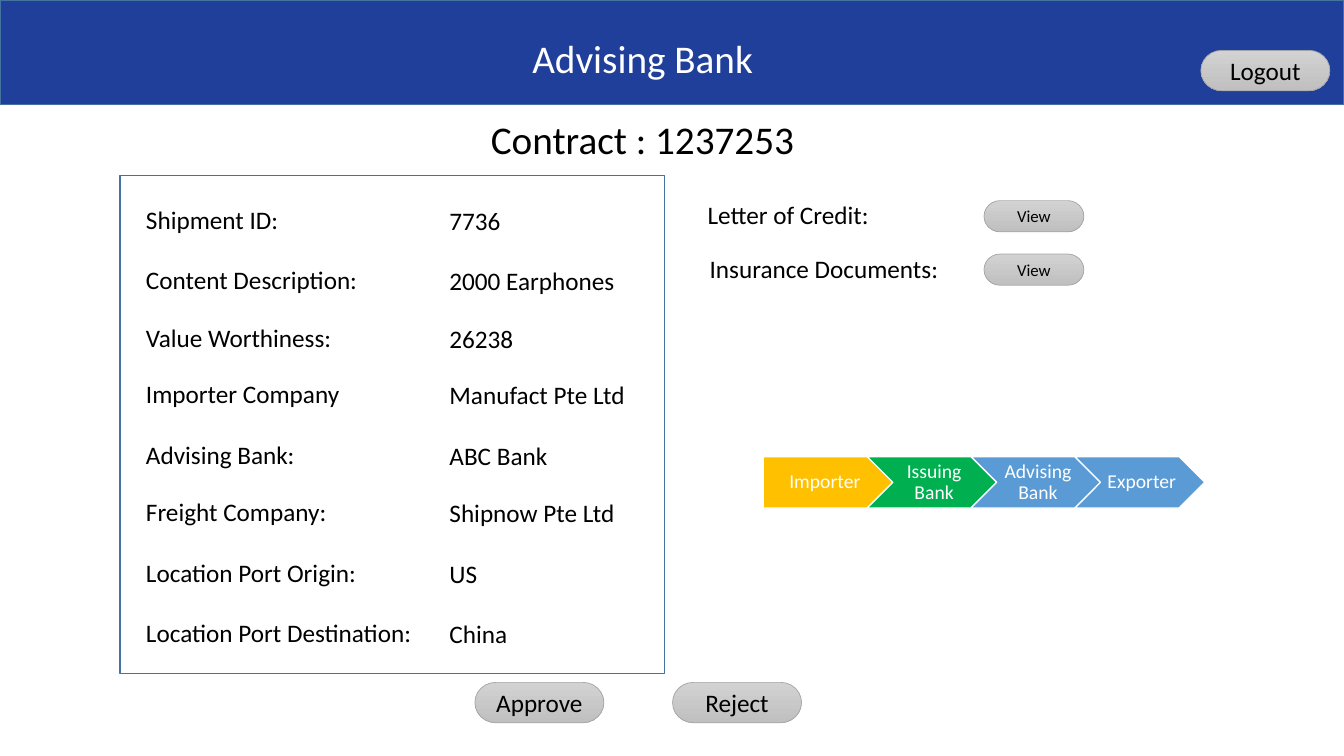
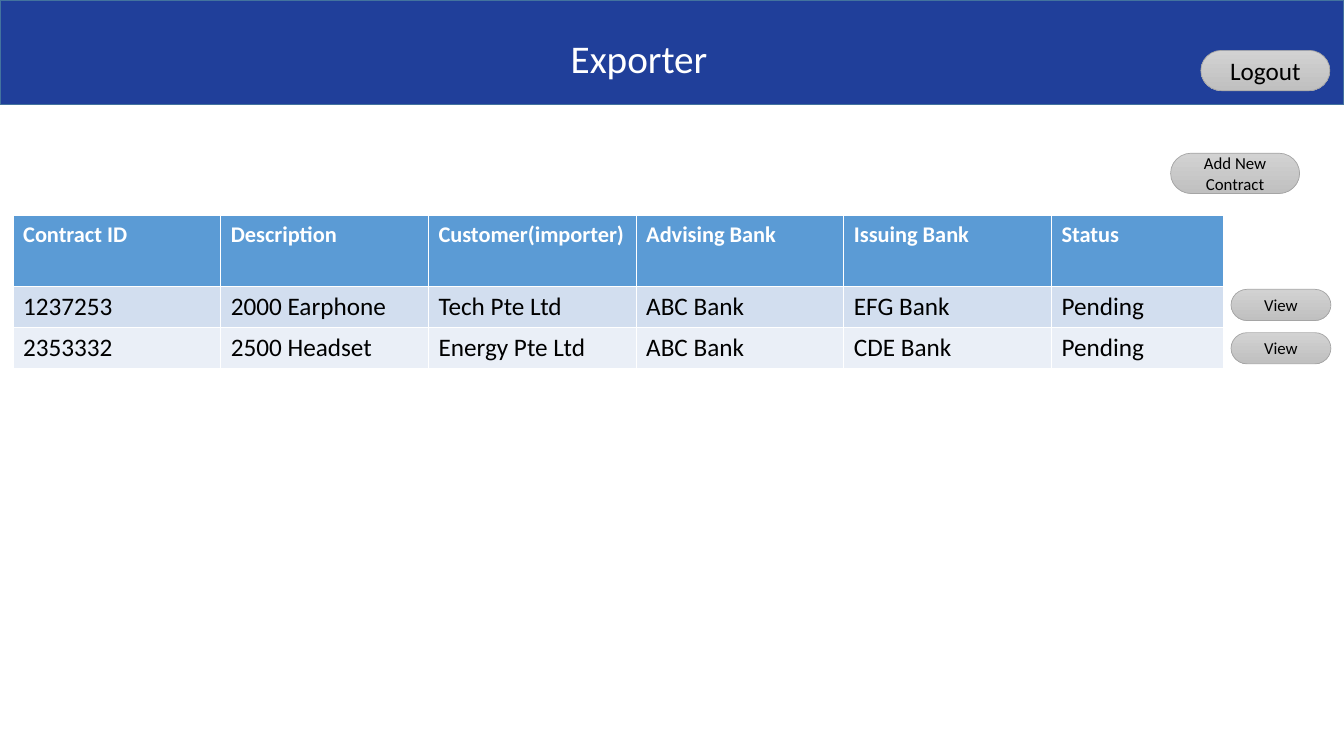
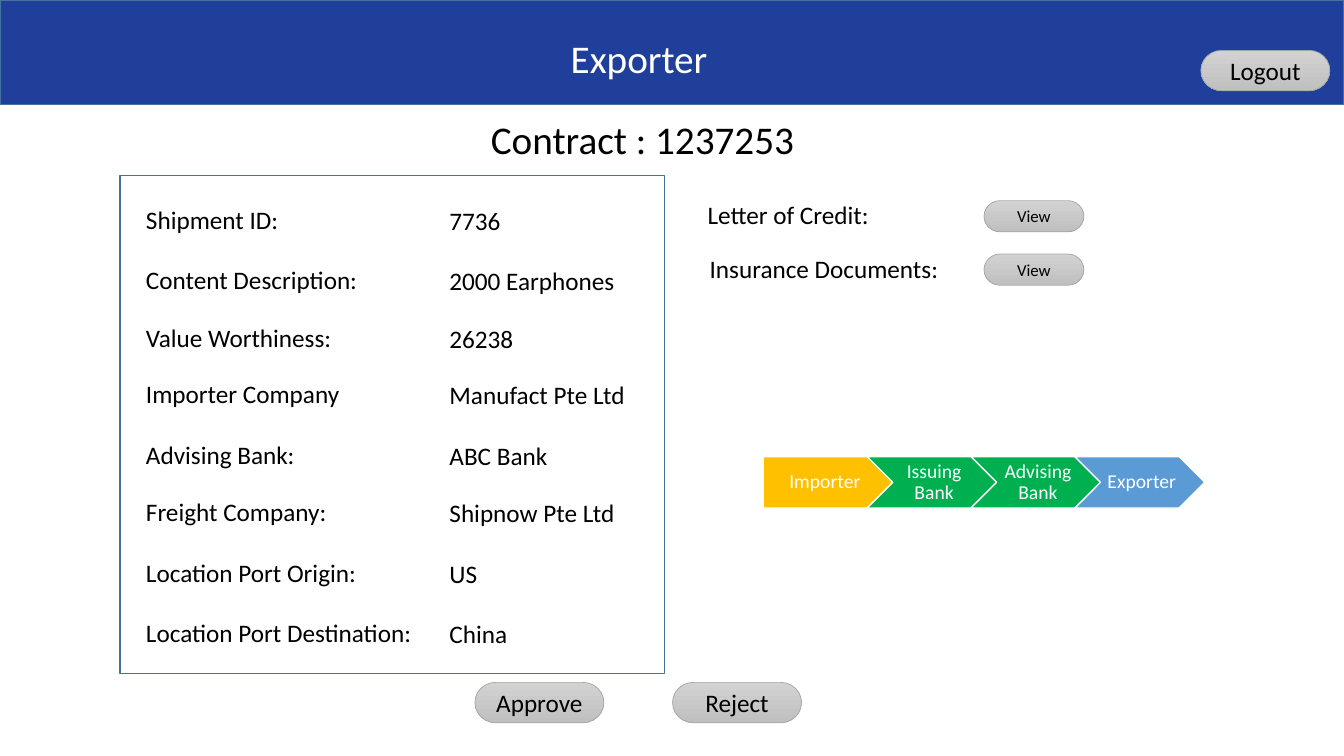
import pptx
import pptx.util
import pptx.dml.color
import pptx.enum.shapes
import pptx.enum.text

Inches = pptx.util.Inches
Pt = pptx.util.Pt
FORM = pptx.enum.shapes.MSO_SHAPE
ANCHOR = pptx.enum.text.MSO_ANCHOR
ALIGN = pptx.enum.text.PP_ALIGN

FONT = "Calibri"
HUES = {
    "band": "203F9A", "edge": "43739E", "white": "FFFFFF", "black": "000000",
    "light": "D2D2D2", "dark": "C0C0C0", "rim": "A5A5A5",
    "start": "FFC000", "done": "00B050", "open": "5B9BD5",
    "head": "5B9BD5", "odd": "D2DEEF", "even": "EAEFF7",
}
FIELDS = [
    (2.01, "Shipment ID:", "7736"),
    (2.61, "Content Description:", "2000 Earphones"),
    (3.18, "Value Worthiness:", "26238"),
    (3.74, "Importer Company", "Manufact Pte Ltd"),
    (4.34, "Advising Bank:", "ABC Bank"),
    (4.91, "Freight Company:", "Shipnow Pte Ltd"),
    (5.51, "Location Port Origin:", "US"),
    (6.11, "Location Port Destination:", "China"),
]
STEPS = ["Importer", "Issuing Bank", "Advising Bank", "Exporter"]
ROWS = [
    ["Contract ID", "Description", "Customer(importer)",
     "Advising Bank", "Issuing Bank", "Status"],
    ["1237253", "2000 Earphone", "Tech Pte Ltd",
     "ABC Bank", "EFG Bank", "Pending"],
    ["2353332", "2500 Headset", "Energy Pte Ltd",
     "ABC Bank", "CDE Bank", "Pending"],
]


def color(name):
    """Return the named colour."""
    return pptx.dml.color.RGBColor.from_string(HUES[name])


def write(frame, text, size, hue="black", bold=False, align=ALIGN.LEFT):
    """Fill a text frame with one formatted paragraph."""
    frame.text = text
    frame.word_wrap = True
    para = frame.paragraphs[0]
    para.alignment = align
    for run in para.runs:
        run.font.name = FONT
        run.font.size = Pt(size)
        run.font.bold = bold
        run.font.color.rgb = color(hue)
    return para


def shape(slide, form, box, fill, line, width=1):
    """Add a preset shape, unfilled when fill is None."""
    item = slide.shapes.add_shape(form, *map(Inches, box))
    item.shadow.inherit = False
    if fill:
        item.fill.solid()
        item.fill.fore_color.rgb = color(fill)
    else:
        item.fill.background()
    item.line.color.rgb = color(line)
    item.line.width = Pt(width)
    return item


def label(slide, text, left, top, width, size=18):
    """Add a line of text."""
    box = slide.shapes.add_textbox(*map(Inches, (left, top, width, 0.4)))
    write(box.text_frame, text, size).line_spacing = 0.9


def button(slide, text, left, top, size=18, width=1.28, height=0.4):
    """Add a grey rounded button."""
    item = shape(slide, FORM.FLOWCHART_TERMINATOR,
                 (left, top, width, height), "light", "rim", 0.5)
    item.fill.gradient()
    item.fill.gradient_angle = 270
    for stop, hue in zip(item.fill.gradient_stops, ("light", "dark")):
        stop.color.rgb = color(hue)
    item.text_frame.vertical_anchor = ANCHOR.MIDDLE
    write(item.text_frame, text, size, align=ALIGN.CENTER)


def view(slide, left, top):
    """Add a small View button."""
    button(slide, "View", left, top, 12, 0.99, 0.31)


def page(deck, text, left):
    """Add a slide with the band, title and Logout button."""
    slide = deck.slides.add_slide(deck.slide_layouts[5])
    title = slide.shapes.title
    title.left, title.top, title.width, title.height = map(
        Inches, (left, 0.34, 3, 0.4))
    frame = title.text_frame
    frame.auto_size = pptx.enum.text.MSO_AUTO_SIZE.NONE
    frame.vertical_anchor = ANCHOR.TOP
    write(frame, text, 28, "white").line_spacing = 0.9
    band = shape(slide, FORM.RECTANGLE, (0, 0, 13.33, 1.04), "band", "edge")
    title.element.addprevious(band.element)
    button(slide, "Logout", 11.91, 0.5)
    return slide


def flow(slide, done):
    """Add the approval steps, with the given number done."""
    hues = ["start"] + ["done"] * done + ["open"] * (len(STEPS) - 1 - done)
    for num, (text, hue) in enumerate(zip(STEPS, hues)):
        form = FORM.CHEVRON if num else FORM.PENTAGON
        item = shape(slide, form, (7.57 + 1.03 * num, 4.53, 1.29, 0.51),
                     hue, "white")
        frame = item.text_frame
        frame.margin_left = Inches(0.06 if num else 0.08)
        frame.margin_right = Inches(0.02)
        frame.margin_top = frame.margin_bottom = Inches(0.04)
        frame.vertical_anchor = ANCHOR.MIDDLE
        para = write(frame, text, 14, "white", align=ALIGN.CENTER)
        para.line_spacing = 0.9


def detail(deck, title, left, done):
    """Add a contract detail slide."""
    slide = page(deck, title, left)
    label(slide, "Contract : 1237253", 4.77, 1.15, 3.79, 28)
    shape(slide, FORM.RECTANGLE, (1.19, 1.74, 5.4, 4.94), None, "edge")
    for top, name, value in FIELDS:
        label(slide, name, 1.35, top, 2.93)
        label(slide, value, 4.36, top + 0.01, 2.2)
    label(slide, "Letter of Credit:", 6.92, 1.96, 2)
    label(slide, "Insurance Documents:", 6.94, 2.5, 2.5)
    for top in (1.99, 2.52):
        view(slide, 9.76, top)
    flow(slide, done)
    button(slide, "Approve", 4.71, 6.77)
    button(slide, "Reject", 6.67, 6.77)


def grid(slide):
    """Add the table of contracts."""
    table = slide.shapes.add_table(
        3, 6, *map(Inches, (0.13, 2.14, 12, 1.51))).table
    for col, width in zip(table.columns, [2.06] * 5 + [1.71]):
        col.width = Inches(width)
    for row, height, hue, texts in zip(
            table.rows, (0.7, 0.41, 0.41), ("head", "odd", "even"), ROWS):
        row.height = Inches(height)
        head = hue == "head"
        for cell, text in zip(row.cells, texts):
            cell.fill.solid()
            cell.fill.fore_color.rgb = color(hue)
            write(cell.text_frame, text, 16 if head else 18,
                  "white" if head else "black", head)


def listing(deck):
    """Add the slide that lists the contracts."""
    slide = page(deck, "Exporter", 5.56)
    grid(slide)
    button(slide, "Add New Contract", 11.61, 1.52, 12)
    for top in (2.87, 3.3):
        view(slide, 12.21, top)


def main():
    """Build and save the deck."""
    deck = pptx.Presentation()
    deck.slide_width = Inches(13.33)
    deck.slide_height = Inches(7.5)
    detail(deck, "Advising Bank", 5.18, 1)
    listing(deck)
    detail(deck, "Exporter", 5.56, 2)
    deck.save("out.pptx")


if __name__ == "__main__":
    main()
